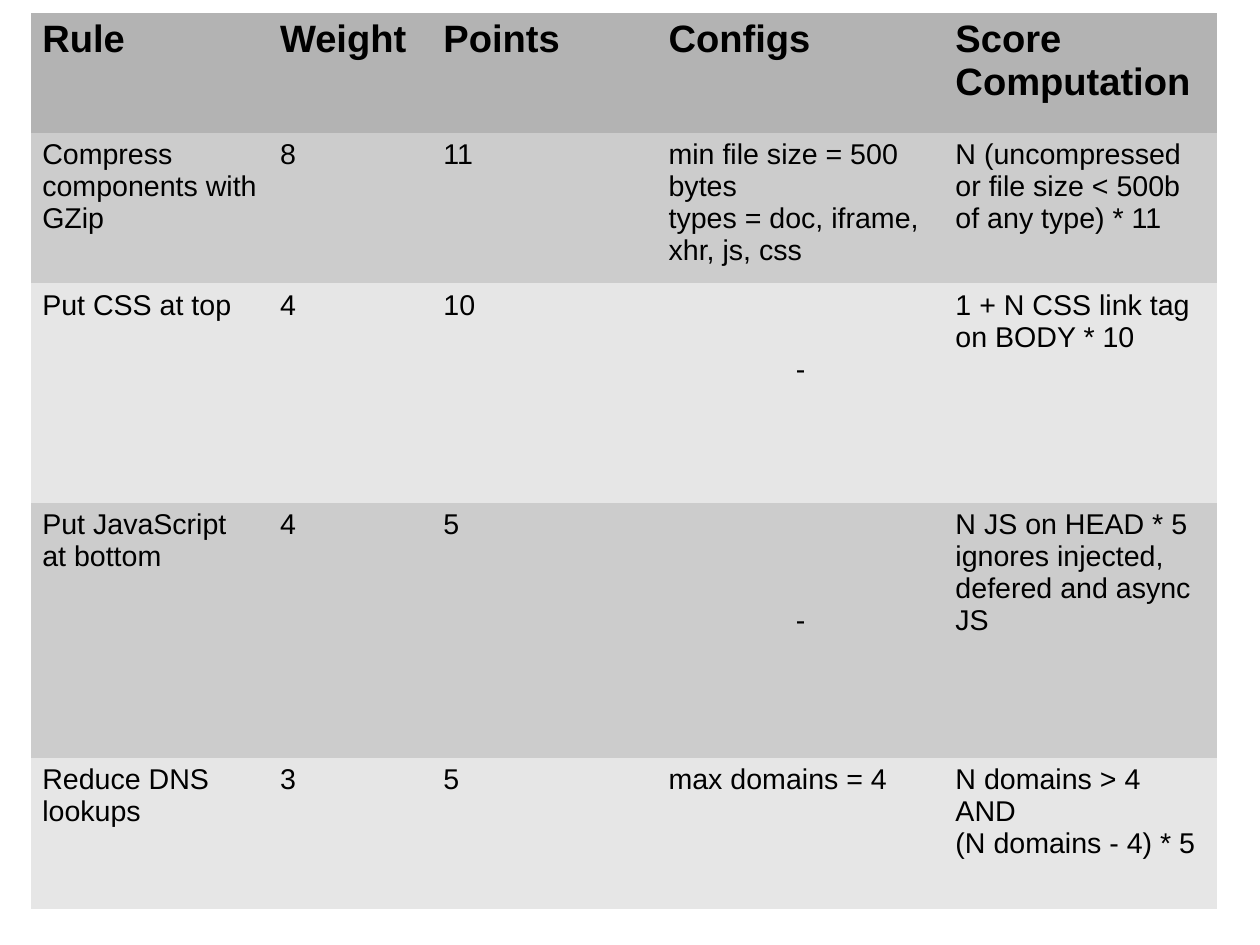
"""Build a slide with a table of page speed rules and how each is scored."""
from pptx import Presentation
from pptx.dml.color import RGBColor
from pptx.enum.text import PP_ALIGN
from pptx.util import Inches, Pt

COLORS = {"header": "B3B3B3", "odd": "CCCCCC", "even": "E6E6E6", "text": "000000"}
NO_GRID_STYLE = "{2D5ABB26-0587-4C30-8999-92F81FD0307C}"
CM_PER_INCH = 2.54
COLUMN_WIDTHS = [2.08, 1.43, 1.97, 2.51, 2.39]
ROW_HEIGHTS = [1.05, 1.32, 1.92, 2.23, 1.32]
LINE_HEIGHT = 0.28
DASH_LINES_DOWN = {2: 2, 3: 3}

RULES = [
    ["Rule", "Weight", "Points", "Configs", "Score\nComputation"],
    ["Compress components with GZip", "8", "11",
     "min file size = 500 bytes\ntypes = doc, iframe, xhr, js, css",
     "N (uncompressed or file size < 500b of any type) * 11"],
    ["Put CSS at top", "4", "10", "-", "1 + N CSS link tag on BODY * 10"],
    ["Put JavaScript at bottom", "4", "5", "-",
     "N JS on HEAD * 5\nignores injected, defered and async JS"],
    ["Reduce DNS lookups", "3", "5", "max domains = 4",
     "N domains > 4 AND\n(N domains - 4) * 5"],
]

presentation = Presentation()
presentation.slide_width = Inches(28 / CM_PER_INCH)
presentation.slide_height = Inches(21 / CM_PER_INCH)
slide = presentation.slides.add_slide(presentation.slide_layouts[6])

table = slide.shapes.add_table(
    len(RULES), len(COLUMN_WIDTHS), Inches(0.27), Inches(0.11),
    Inches(sum(COLUMN_WIDTHS)), Inches(sum(ROW_HEIGHTS))).table
table.horz_banding = False
table._tbl.tblPr[0].text = NO_GRID_STYLE
for column, width in zip(table.columns, COLUMN_WIDTHS):
    column.width = Inches(width)

for row_index, (row, height, texts) in enumerate(zip(table.rows, ROW_HEIGHTS, RULES)):
    row.height = Inches(height)
    is_header = row_index == 0
    band = "header" if is_header else "odd" if row_index % 2 else "even"
    font_format = {"name": "Arial", "size": Pt(24 if is_header else 18), "bold": is_header}
    for cell, text in zip(row.cells, texts):
        cell.text = text
        cell.fill.solid()
        cell.fill.fore_color.rgb = RGBColor.from_string(COLORS[band])
        lines_down = DASH_LINES_DOWN[row_index] if text == "-" else 0
        margins = {"margin_left": 0.1, "margin_right": 0.1, "margin_bottom": 0.05,
                   "margin_top": 0.05 + lines_down * LINE_HEIGHT}
        for name, value in margins.items():
            setattr(cell, name, Inches(value))
        for paragraph in cell.text_frame.paragraphs:
            paragraph.alignment = PP_ALIGN.CENTER if text == "-" else PP_ALIGN.LEFT
            for run in paragraph.runs:
                for name, value in font_format.items():
                    setattr(run.font, name, value)
                run.font.color.rgb = RGBColor.from_string(COLORS["text"])

presentation.save("out.pptx")
